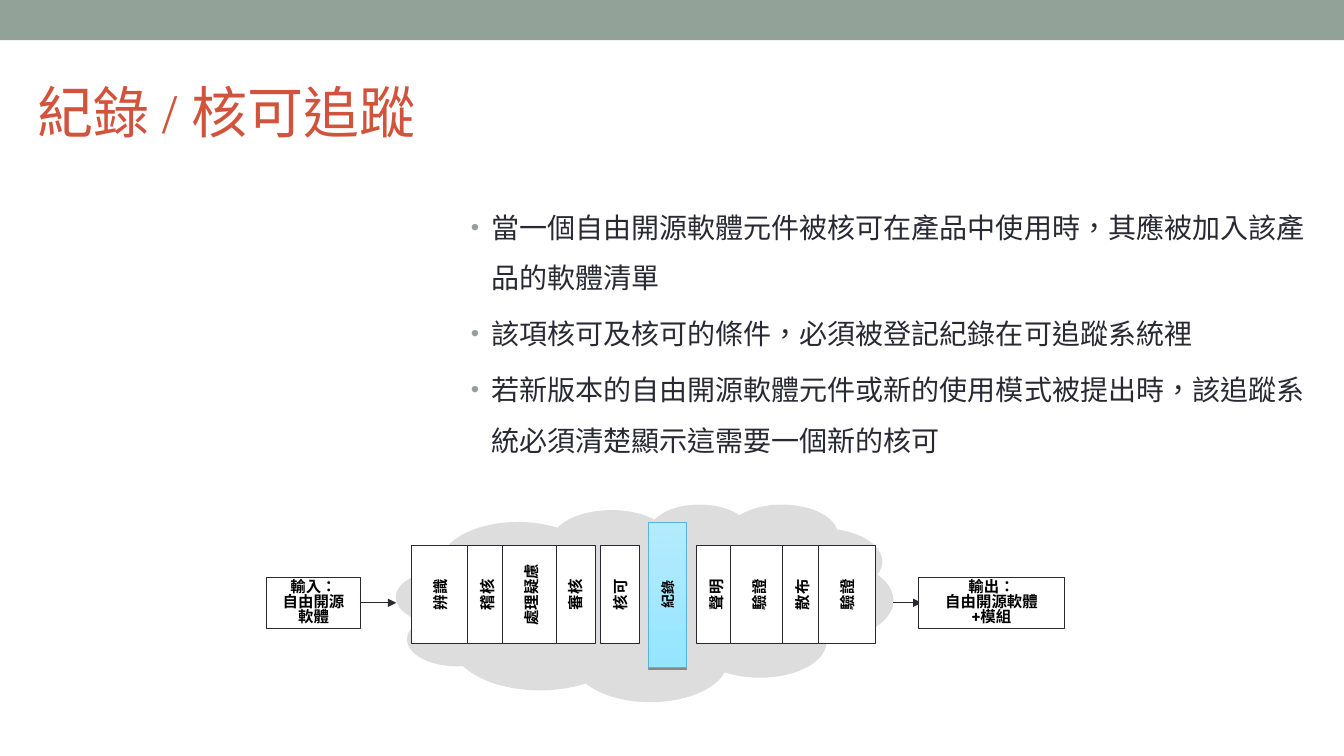
from dataclasses import dataclass

from lxml.etree import SubElement
from pptx import Presentation
from pptx.dml.color import RGBColor
from pptx.enum.lang import MSO_LANGUAGE_ID as Lang
from pptx.enum.shapes import MSO_CONNECTOR as Connector, MSO_SHAPE as Shape
from pptx.enum.text import MSO_ANCHOR as Anchor, MSO_AUTO_SIZE as AutoSize, PP_ALIGN as Align
from pptx.oxml.ns import qn
from pptx.util import Inches, Pt


@dataclass(frozen=True)
class Theme:
    band: str = "93A299"
    title: str = "D2533C"
    ink: str = "292934"
    label: str = "000000"
    paper: str = "FFFFFF"
    cloud: str = "DDDDDD"
    glow_top: str = "B4EBFF"
    glow_bottom: str = "95E5FF"
    glow_line: str = "55B4E5"
    serif: str = "Times New Roman"
    sans: str = "Roboto"
    title_size: float = 40
    body_size: float = 20
    step_size: float = 11
    active_size: float = 10
    label_leading: float = 10.5
    line_width: float = 0.75


@dataclass(frozen=True)
class Box:
    left: float
    top: float
    width: float
    height: float

    def inner(self, x, y, width, height):
        """Box at an offset in inches from this box's corner."""
        return Box(self.left + x, self.top + y, width, height)

    def inches(self):
        return [Inches(v) for v in (self.left, self.top, self.width, self.height)]


THEME = Theme()
PAGE = Box(0, 0, 13.33, 7.5)
TITLE = "紀錄 / 核可追蹤"
POINTS = [
    "當一個自由開源軟體元件被核可在產品中使用時，其應被加入該產品的軟體清單",
    "該項核可及核可的條件，必須被登記紀錄在可追蹤系統裡",
    "若新版本的自由開源軟體元件或新的使用模式被提出時，該追蹤系統必須清楚顯示這需要一個新的核可",
]
ACTIVE = "紀錄"
NARROW, WIDE = 0.39, 0.57
# Label, centre from the left of the process region, width
STEPS = [
    ("辨識", 1.73, WIDE), ("稽核", 2.19, NARROW), ("處理疑慮", 2.63, WIDE),
    ("審核", 3.07, NARROW), ("核可", 3.51, NARROW), (ACTIVE, 3.98, 0.37),
    ("聲明", 4.46, NARROW), ("驗證", 4.89, WIDE), ("散布", 5.32, NARROW),
    ("驗證", 5.76, WIDE),
]


def rgb(value):
    return RGBColor.from_string(value)


def set_all(target, values):
    for name, value in values.items():
        setattr(target, name, value)


def write(frame, lines, frame_format, para_format, font_format, color, bullet=None):
    set_all(frame, {"word_wrap": True, "auto_size": AutoSize.NONE, **frame_format})
    for index, line in enumerate(lines):
        para = frame.paragraphs[0] if index == 0 else frame.add_paragraph()
        if bullet:
            add_bullet(para, bullet)
        set_all(para, para_format)
        if index == 0:
            para.space_before = Pt(0)
        span = para.add_run()
        span.text = line
        set_all(span.font, {"language_id": Lang.TRADITIONAL_CHINESE, **font_format})
        span.font.color.rgb = rgb(color)


def add_bullet(para, color):
    props = para._p.get_or_add_pPr()
    props.set("marL", str(Inches(0.2)))
    props.set("indent", str(-Inches(0.2)))
    SubElement(SubElement(props, qn("a:buClr")), qn("a:srgbClr"), val=color)
    SubElement(props, qn("a:buSzPct"), val="85000")
    SubElement(props, qn("a:buFont"), typeface="Arial")
    SubElement(props, qn("a:buChar"), char="•")


def place(shape, box):
    set_all(shape, dict(zip(("left", "top", "width", "height"), box.inches())))


def add_block(page, kind, box, fill, line=None):
    shape = page.shapes.add_shape(kind, *box.inches())
    shape.shadow.inherit = False
    shape.fill.solid()
    shape.fill.fore_color.rgb = rgb(fill)
    if line:
        shape.line.color.rgb = rgb(line)
        shape.line.width = Pt(THEME.line_width)
    else:
        shape.line.fill.background()
    return shape


def write_label(shape, lines, size, margin=0.0, leading=None):
    write(
        shape.text_frame, lines,
        {"margin_left": Inches(margin), "margin_right": Inches(margin),
         "margin_top": 0, "margin_bottom": 0, "vertical_anchor": Anchor.MIDDLE},
        {"alignment": Align.CENTER, "line_spacing": leading},
        {"name": THEME.sans, "size": Pt(size), "bold": True}, THEME.label,
    )


def add_arrow(page, start, end, y):
    arrow = page.shapes.add_connector(
        Connector.STRAIGHT, *(Inches(v) for v in (start, y, end, y)))
    arrow.line.color.rgb = rgb(THEME.ink)
    arrow.line.width = Pt(THEME.line_width)
    SubElement(arrow.line._get_or_add_ln(), qn("a:tailEnd"), type="triangle")
    SubElement(arrow._element.spPr, qn("a:effectLst"))


def highlight(shape):
    """Give the active step its gradient and the thin shadow below it."""
    shape.fill.gradient()
    shape.fill.gradient_angle = 270
    for stop, color in zip(shape.fill.gradient_stops, (THEME.glow_top, THEME.glow_bottom)):
        stop.color.rgb = rgb(color)
    effects = shape._element.spPr.find(qn("a:effectLst"))
    shadow = SubElement(effects, qn("a:outerShdw"), blurRad="0", dist=str(Pt(1.6)),
                        dir="5400000", rotWithShape="0")
    color = SubElement(shadow, qn("a:srgbClr"), val="000000")
    SubElement(color, qn("a:alpha"), val="38000")


def add_step(page, label, center_x, center_y, width):
    active = label == ACTIVE
    height = 1.44 if active else 0.97
    # Sizes are swapped because the block is turned a quarter to the left
    box = Box(center_x - height / 2, center_y - width / 2, height, width)
    line = THEME.glow_line if active else THEME.ink
    if active:
        upright = Box(center_x - width / 2, center_y - height / 2, width, height)
        highlight(add_block(page, Shape.RECTANGLE, upright, THEME.glow_bottom, line))
        step = page.shapes.add_textbox(*box.inches())
    else:
        step = add_block(page, Shape.RECTANGLE, box, THEME.paper, line)
    step.rotation = 270
    write_label(step, [label], THEME.active_size if active else THEME.step_size)


def build_process(page, box):
    middle = box.top + box.height / 2
    ends = [
        (box.inner(0, 0.73, 0.94, 0.51), ["輸入：", "自由開源軟體"]),
        (box.inner(6.47, 0.73, 1.45, 0.51), ["輸出：", "自由開源軟體", "+模組"]),
    ]
    add_block(page, Shape.CLOUD, box.inner(1.29, 0, 4.93, box.height), THEME.cloud)
    for start, end in ((0.94, 1.29), (6.22, 6.5)):
        add_arrow(page, box.left + start, box.left + end, middle)
    for label, center, width in STEPS:
        add_step(page, label, box.left + center, box.top + 0.9, width)
    for end_box, lines in ends:
        shape = add_block(page, Shape.RECTANGLE, end_box, THEME.paper, THEME.ink)
        write_label(shape, lines, THEME.step_size, 0.1, Pt(THEME.label_leading))


def build_title(page, box):
    title = page.shapes.title
    place(title, box)
    write(title.text_frame, [TITLE], {"vertical_anchor": Anchor.MIDDLE},
          {"alignment": Align.LEFT},
          {"name": THEME.serif, "size": Pt(THEME.title_size)}, THEME.title)


def build_points(page, box):
    body = page.placeholders[1]
    place(body, box)
    margins = {"margin_left": 0.28, "margin_top": 0.2, "margin_right": 0.2, "margin_bottom": 0.24}
    write(body.text_frame, POINTS, {name: Inches(v) for name, v in margins.items()},
          {"line_spacing": 1.5, "space_before": Pt(4)},
          {"name": THEME.serif, "size": Pt(THEME.body_size)}, THEME.ink, THEME.band)


def main():
    deck = Presentation()
    deck.slide_width, deck.slide_height = PAGE.inches()[2:]
    page = deck.slides.add_slide(deck.slide_layouts[1])
    add_block(page, Shape.RECTANGLE, PAGE.inner(0, 0, PAGE.width, 0.4), THEME.band)
    build_title(page, PAGE.inner(0.27, 0.56, 12, 1.08))
    build_points(page, PAGE.inner(4.39, 1.72, 8.94, 3.34))
    build_process(page, PAGE.inner(2.64, 5, 7.92, 1.96))
    deck.save("out.pptx")


if __name__ == "__main__":
    main()
